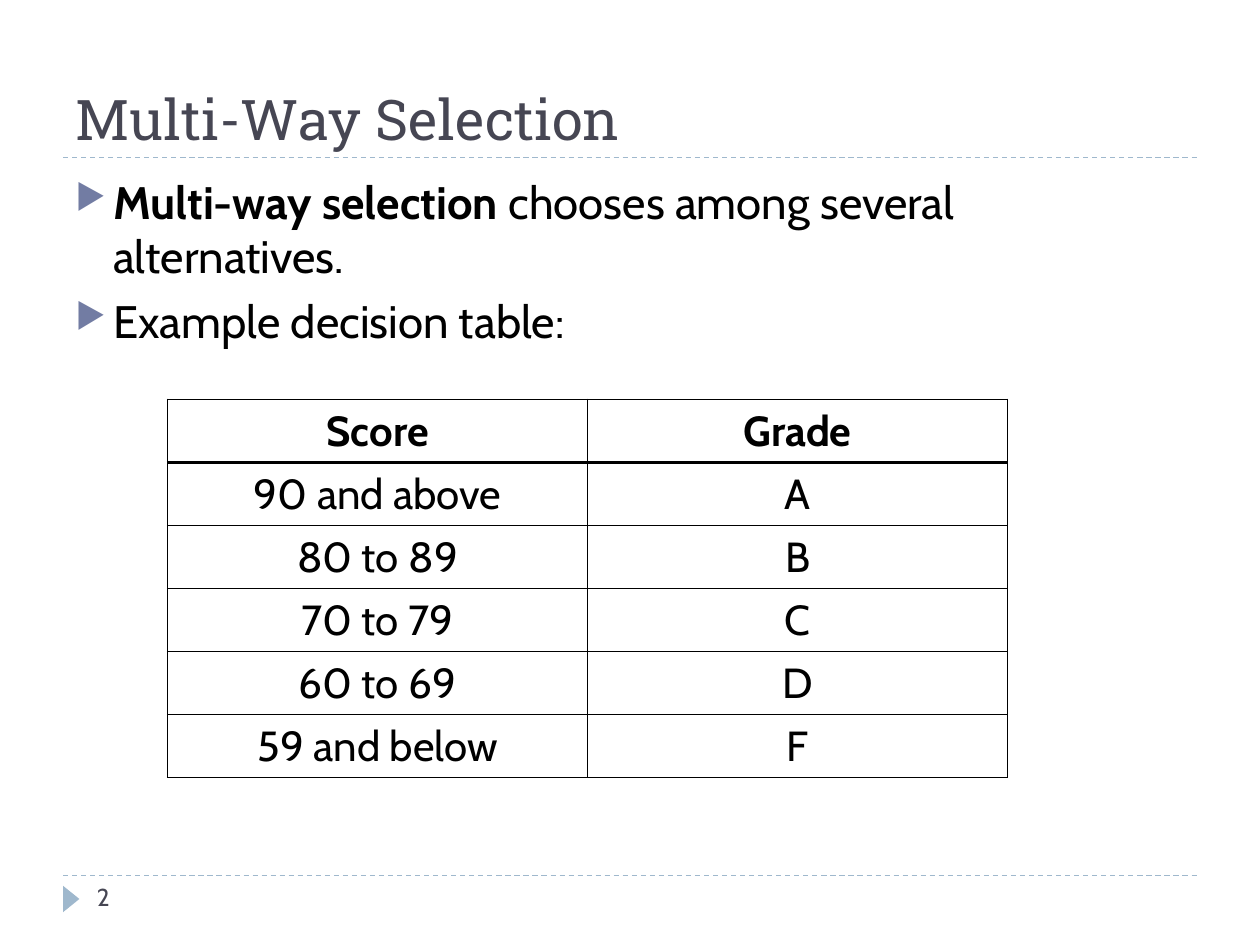
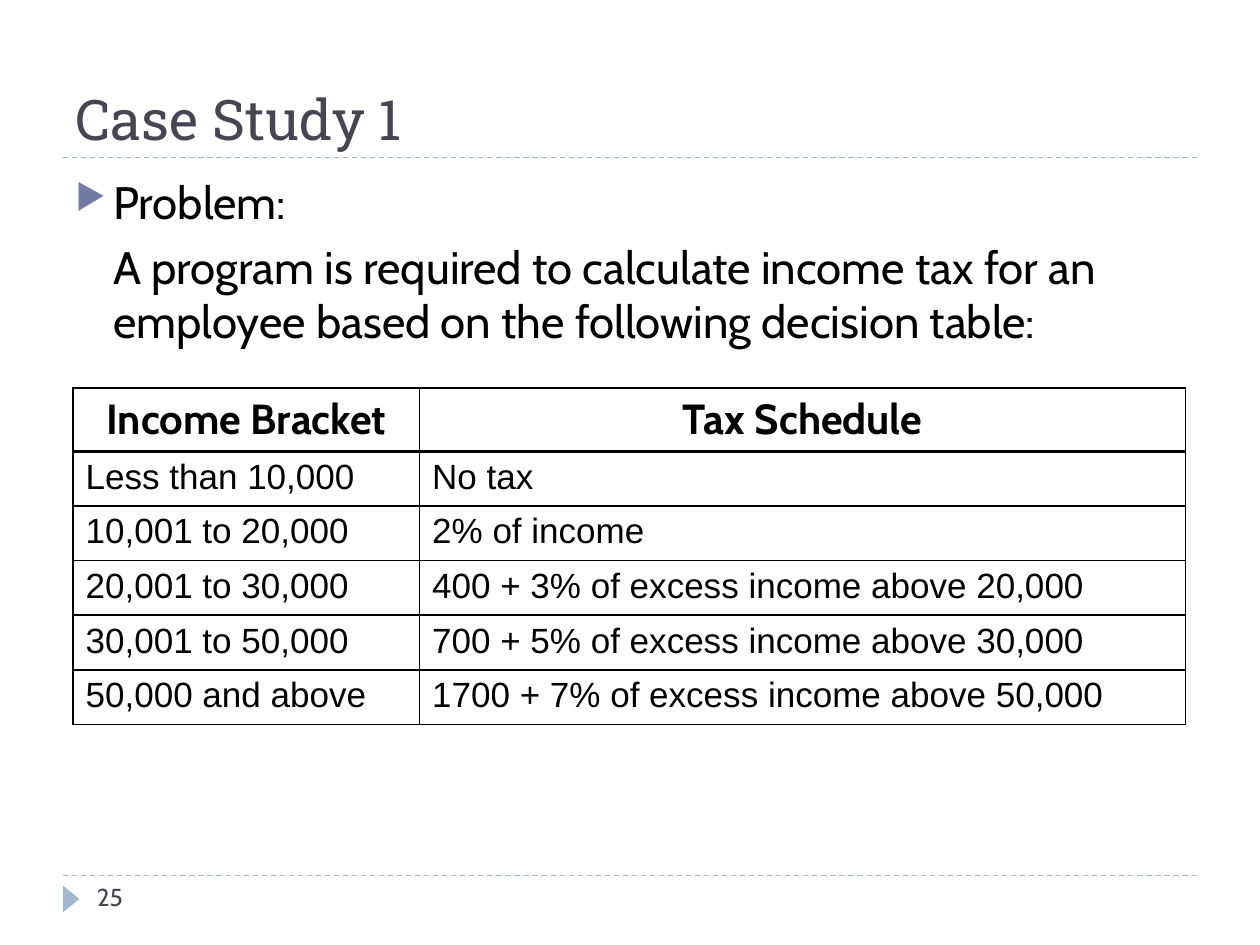
import pptx
import pptx.dml.color
import pptx.enum.dml
import pptx.enum.shapes
import pptx.enum.text
import pptx.oxml
import pptx.oxml.ns
import pptx.util

Inches = pptx.util.Inches
Pt = pptx.util.Pt

WIDTH, HEIGHT = 10, 7.5
MARGIN = WIDTH / 20
CONTENT_WIDTH = WIDTH - 2 * MARGIN
TITLE_RULE, FOOTER_RULE = 1.25, 6.95
HANGING_INDENT = 0.3

INK, SLATE, PALE_BLUE, BULLET_BLUE = "000000", "464653", "9FB8CD", "727CA3"
TITLE_FONT, BODY_FONT, DATA_FONT = "Roboto Slab", "Cabin", "Arial"

CENTER = pptx.enum.text.PP_ALIGN.CENTER
LEFT = pptx.enum.text.PP_ALIGN.LEFT
TOP = pptx.enum.text.MSO_ANCHOR.TOP
BOTTOM = pptx.enum.text.MSO_ANCHOR.BOTTOM

GRADES = [
    ("Score", "Grade"),
    ("90 and above", "A"),
    ("80 to 89", "B"),
    ("70 to 79", "C"),
    ("60 to 69", "D"),
    ("59 and below", "F"),
]
TAXES = [
    ("Income Bracket", "Tax Schedule"),
    ("Less than 10,000", "No tax"),
    ("10,001 to 20,000", "2% of income"),
    ("20,001 to 30,000", "400 + 3% of excess income above 20,000"),
    ("30,001 to 50,000", "700 + 5% of excess income above 30,000"),
    ("50,000 and above", "1700 + 7% of excess income above 50,000"),
]


def rgb(value):
    return pptx.dml.color.RGBColor.from_string(value)


def append_xml(parent, markup):
    """Append a DrawingML element written with the a: prefix."""
    head, separator, tail = markup.partition(">")
    slash = "/" if head.endswith("/") else ""
    head = head.rstrip("/")
    namespace = pptx.oxml.ns.nsdecls("a")
    parent.append(pptx.oxml.parse_xml(f"{head} {namespace}{slash}{separator}{tail}"))


def style(paragraph, font_name, size, color=INK, bold=None):
    font = paragraph.font
    font.name, font.size, font.bold = font_name, Pt(size), bold
    font.color.rgb = rgb(color)


def add_text_box(slide, left, top, width, height, anchor=TOP):
    box = slide.shapes.add_textbox(*map(Inches, (left, top, width, height)))
    box.text_frame.word_wrap = True
    box.text_frame.vertical_anchor = anchor
    return box.text_frame


def add_rule(slide, y):
    rule = slide.shapes.add_connector(
        pptx.enum.shapes.MSO_CONNECTOR.STRAIGHT,
        Inches(MARGIN), Inches(y), Inches(WIDTH - MARGIN), Inches(y))
    rule.line.color.rgb = rgb(PALE_BLUE)
    rule.line.width = Pt(0.75)
    rule.line.dash_style = pptx.enum.dml.MSO_LINE.DASH
    append_xml(rule._element.spPr, "<a:effectLst/>")


def add_page(deck, title, number):
    """Add a slide with its title, rules, footer marker and page number."""
    slide = deck.slides.add_slide(deck.slide_layouts[6])
    for y in (FOOTER_RULE, TITLE_RULE):
        add_rule(slide, y)

    marker = slide.shapes.add_shape(
        pptx.enum.shapes.MSO_SHAPE.ISOSCELES_TRIANGLE,
        *map(Inches, (0.46, 7.07, 0.21, 0.13)))
    marker.rotation = 90
    marker.shadow.inherit = False
    marker.fill.solid()
    marker.fill.fore_color.rgb = rgb(PALE_BLUE)
    marker.line.fill.background()

    title_height = 1.08
    heading = add_text_box(slide, MARGIN, TITLE_RULE - title_height,
                           CONTENT_WIDTH, title_height, BOTTOM).paragraphs[0]
    heading.text = title
    style(heading, TITLE_FONT, 32, SLATE)

    page_number = add_text_box(slide, 0.67, FOOTER_RULE, 2.17, 0.4).paragraphs[0]
    page_number.text = str(number)
    style(page_number, BODY_FONT, 14, SLATE)
    return slide


def add_body(slide, items):
    """Each item is (has bullet, bold lead-in, remaining text)."""
    frame = add_text_box(slide, MARGIN, 1.33, CONTENT_WIDTH, 5.4)
    for index, (has_bullet, lead, text) in enumerate(items):
        para = frame.add_paragraph() if index else frame.paragraphs[0]
        if index:
            para.space_before = Pt(6)
        properties = para._p.get_or_add_pPr()
        properties.set("marL", str(Inches(HANGING_INDENT)))
        properties.set("indent", str(-Inches(HANGING_INDENT) if has_bullet else 0))
        if has_bullet:
            append_xml(properties,
                       f'<a:buClr><a:srgbClr val="{BULLET_BLUE}"/></a:buClr>')
            append_xml(properties, '<a:buSzPct val="76000"/>')
            append_xml(properties, '<a:buChar char="▶"/>')
        else:
            append_xml(properties, "<a:buNone/>")
        style(para, BODY_FONT, 26)
        if lead:
            span = para.add_run()
            span.text = lead
            span.font.bold = True
        para.add_run().text = text


def set_borders(cell, top, bottom):
    properties = cell._tc.get_or_add_tcPr()
    for side, width in (("L", 1), ("R", 1), ("T", top), ("B", bottom)):
        append_xml(properties,
                   f'<a:ln{side} w="{Pt(width)}"><a:solidFill>'
                   f'<a:srgbClr val="{INK}"/></a:solidFill></a:ln{side}>')


def add_decision_table(slide, left, top, column_widths, rows, row_height,
                       font_name, size, alignment):
    """The header keeps one style; the last four arguments set the other rows."""
    header_height = 0.5
    height = header_height + row_height * (len(rows) - 1)
    table = slide.shapes.add_table(
        len(rows), len(column_widths), Inches(left), Inches(top),
        Inches(sum(column_widths)), Inches(height)).table
    table.first_row = table.horz_banding = False
    for column, width in zip(table.columns, column_widths):
        column.width = Inches(width)
    for row_index, values in enumerate(rows):
        is_header = row_index == 0
        table.rows[row_index].height = Inches(header_height if is_header else row_height)
        for column_index, value in enumerate(values):
            cell = table.cell(row_index, column_index)
            set_borders(cell, top=2 if row_index == 1 else 1,
                        bottom=2 if is_header else 1)
            cell.fill.background()
            para = cell.text_frame.paragraphs[0]
            para.text = value
            para.alignment = CENTER if is_header else alignment
            if is_header:
                style(para, BODY_FONT, 24, bold=True)
            else:
                style(para, font_name, size, bold=False)


def main():
    deck = pptx.Presentation()
    deck.slide_width, deck.slide_height = Inches(WIDTH), Inches(HEIGHT)

    selection = add_page(deck, "Multi-Way Selection", 2)
    add_body(selection, [
        (True, "Multi-way selection ", "chooses among several alternatives."),
        (True, "", "Example decision table:"),
    ])
    add_decision_table(selection, 1.33, 3.17, [WIDTH / 3] * 2, GRADES,
                       0.5, BODY_FONT, 24, CENTER)

    case_study = add_page(deck, "Case Study 1", 25)
    add_body(case_study, [
        (True, "", "Problem:"),
        (False, "", "A program is required to calculate income tax for an "
                    "employee based on the following decision table:"),
    ])
    add_decision_table(case_study, 0.58, 3.08, [2.75, 6.08], TAXES,
                       0.41, DATA_FONT, 20, LEFT)

    deck.save("out.pptx")


if __name__ == "__main__":
    main()
